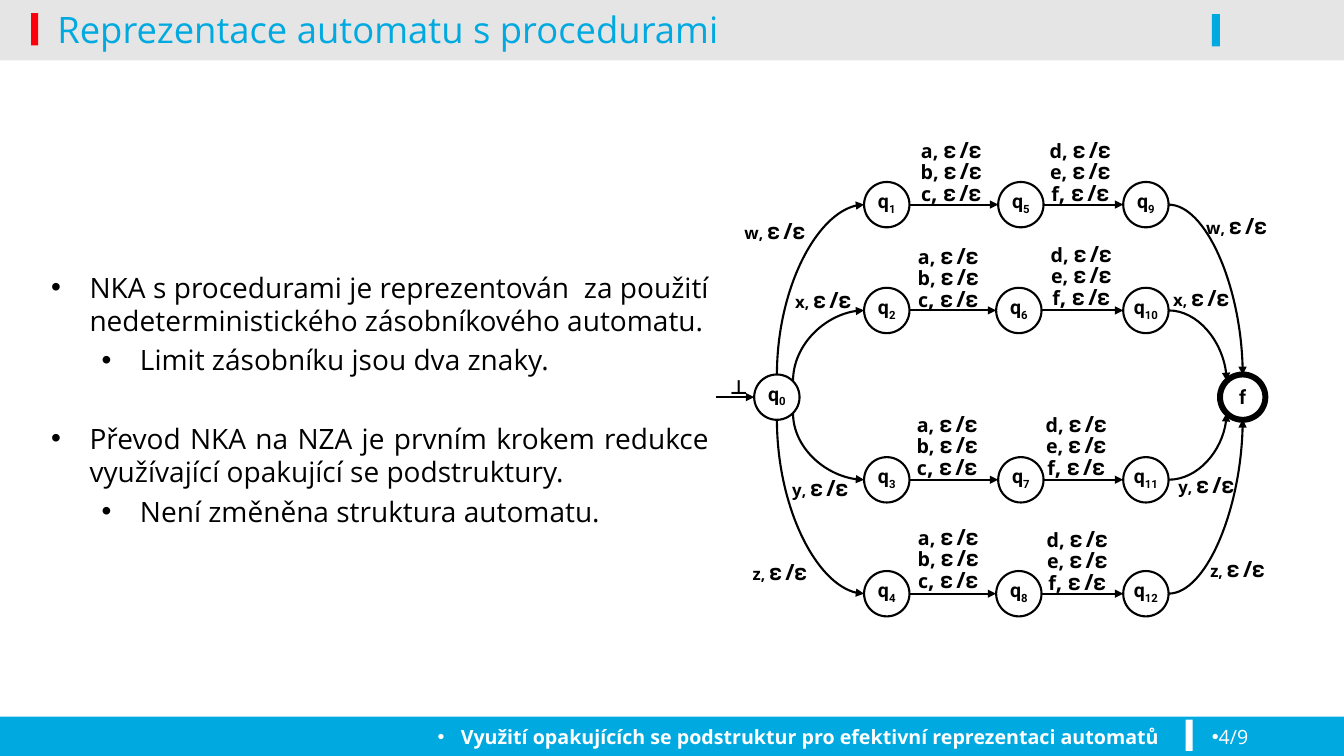
import pptx
import pptx.util
import pptx.dml.color
import pptx.enum.shapes
import pptx.enum.text
import pptx.oxml
import pptx.oxml.ns

W, H = 13.33, 7.5
BLUE, RED, WHITE, BLACK = "00A9E0", "FE000C", "FFFFFF", "000000"
SANS, ROBOTO = "Open Sans", "Roboto"
EPS = "\U0001D6C6"
ALIGN = pptx.enum.text.PP_ALIGN
ANCHOR = pptx.enum.text.MSO_ANCHOR
SHAPE = pptx.enum.shapes.MSO_SHAPE
LINE = pptx.enum.shapes.MSO_CONNECTOR

# Automaton grid: diameter, left edges of the columns, centre lines of the rows
D = 0.45
START, FIRST, LAST, FINAL = 7.48, 8.57, 11.14, 12.1
MIDDLE = [9.9, 9.88, 9.9, 9.88]
ROWS = [2.03, 3.08, 4.76, 5.89]
AXIS = 3.94
OUTER, INNER = 0.22, 0.16   # where arcs meet the end states, from their centre

# Label corners (left, top), row by row
ABC_AT = [(9.02, 1.35), (8.99, 2.4), (8.98, 4.07), (8.99, 5.19)]
DEF_AT = [(10.3, 1.35), (10.31, 2.38), (10.26, 4.07), (10.27, 5.21)]
CALL_AT = [(7.19, 2.16), (7.67, 2.84), (7.64, 4.71), (7.24, 5.54)]
RETURN_AT = [(11.77, 2.11), (11.42, 2.82), (11.47, 4.68), (11.78, 5.51)]


def inch(*values):
    return [pptx.util.Inches(v) for v in values]


def color(hex_text):
    return pptx.dml.color.RGBColor.from_string(hex_text)


def add_child(parent, tag, **attrs):
    el = pptx.oxml.ns.qn(tag)
    el = parent.makeelement(el, attrs)
    parent.append(el)
    return el


def add_run(p, text, size, font=SANS, fill=BLACK, bold=False, base=None):
    r = p.add_run()
    r.text = text
    r.font.size, r.font.name, r.font.bold = pptx.util.Pt(size), font, bold
    r.font.color.rgb = color(fill)
    if base:
        r.font._element.set("baseline", str(base * 1000))


def add_bullet(p, left, hang):
    pPr = p._p.get_or_add_pPr()
    pPr.set("marL", str(pptx.util.Inches(left)))
    pPr.set("indent", str(pptx.util.Inches(-hang)))
    add_child(pPr, "a:buFont", typeface="Arial")
    add_child(pPr, "a:buChar", char="•")


def add_text(s, left, top, width, height, anchor=ANCHOR.TOP):
    tf = s.shapes.add_textbox(*inch(left, top, width, height)).text_frame
    tf.word_wrap = True
    tf.vertical_anchor = anchor
    return tf


def next_paragraph(tf, align=ALIGN.LEFT):
    p = tf.paragraphs[0]
    if p.runs:
        p = tf.add_paragraph()
    p.alignment = align
    return p


def add_bar(s, left, top, width, height, fill, alpha=None):
    sp = s.shapes.add_shape(SHAPE.RECTANGLE, *inch(left, top, width, height))
    sp.shadow.inherit = False
    sp.line.fill.background()
    sp.fill.solid()
    sp.fill.fore_color.rgb = color(fill)
    if alpha:
        clr = sp.fill._xPr.find(".//" + pptx.oxml.ns.qn("a:srgbClr"))
        add_child(clr, "a:alpha", val=str(alpha * 1000))


def add_state(s, left, center_y, name, index="", weight=1.5):
    sp = s.shapes.add_shape(SHAPE.OVAL, *inch(left, center_y - D / 2, D, D))
    sp.shadow.inherit = False
    sp.fill.solid()
    sp.fill.fore_color.rgb = color(WHITE)
    sp.line.color.rgb = color(BLACK)
    sp.line.width = pptx.util.Pt(weight)
    tf = sp.text_frame
    tf.margin_left = tf.margin_right = 0
    tf.vertical_anchor = ANCHOR.BOTTOM
    p = next_paragraph(tf, ALIGN.CENTER)
    add_run(p, name, 14, ROBOTO, bold=True)
    if index:
        add_run(p, index, 14, ROBOTO, bold=True, base=-25)


def add_arrow(s, x1, y1, x2, y2, kind=LINE.STRAIGHT):
    c = s.shapes.add_connector(kind, *inch(x1, y1, x2, y2))
    c.line.color.rgb = color(BLACK)
    c.line.width = pptx.util.Pt(1.5)
    add_child(c.line._get_or_add_ln(), "a:tailEnd", type="triangle")
    add_child(c._element.spPr, "a:effectLst")
    return c


def add_arc(s, x1, y1, x2, y2, vertical_first=False):
    """Quarter curve; one that leaves vertically is a turned horizontal one."""
    turn = 0
    if vertical_first:
        turn = 1 if y2 < y1 else -1
        cx, cy = (x1 + x2) / 2, (y1 + y2) / 2
        half_w, half_h = abs(y2 - y1) / 2, turn * abs(x2 - x1) / 2
        x1, y1, x2, y2 = cx + half_w, cy + half_h, cx - half_w, cy - half_h
    c = add_arrow(s, x1, y1, x2, y2, LINE.CURVE)
    spPr = c._element.spPr
    spPr.find(pptx.oxml.ns.qn("a:prstGeom")).set("prst", "curvedConnector2")
    if turn:
        spPr.find(pptx.oxml.ns.qn("a:xfrm")).set("rot", str(turn * 90 % 360 * 60000))


def add_label(s, at, symbols, width, height, size, comma):
    tf = add_text(s, *at, width, height)
    for symbol in symbols:
        p = next_paragraph(tf, ALIGN.CENTER)
        p.line_spacing = 0.8
        last = symbol in "cf"
        parts = [(symbol, size), (", ", 16 if last else comma),
                 (EPS, 16), (" ", 9), ("/" + EPS, 16)]
        for text, pt in parts:
            add_run(p, text, pt, bold=True)


def add_frame(s):
    add_bar(s, 0, 7.11, W, 0.39, BLUE)
    add_bar(s, 0, 0.56, W, 0.04, BLACK, 10)
    add_bar(s, 0, 0, W, 0.56, BLACK, 10)
    add_bar(s, 0.31, 0.13, 0.07, 0.32, RED)
    add_bar(s, 11.76, 7.14, 0.07, 0.31, WHITE)
    add_bar(s, 12.02, 0.14, 0.08, 0.32, BLUE)

    p = next_paragraph(add_text(s, 0.16, 7.14, 11.44, 0.36), ALIGN.RIGHT)
    add_bullet(p, 0.23, 0.23)
    add_run(p, "Využití opakujících se podstruktur pro efektivní reprezentaci automatů",
            14, fill=WHITE, bold=True)
    p = next_paragraph(add_text(s, 11.92, 7.14, 1.21, 0.36))
    add_bullet(p, 0, 0)
    add_run(p, "4/9", 14, fill=WHITE)
    p = next_paragraph(add_text(s, 0.47, -0.11, 11.5, 0.79, ANCHOR.MIDDLE))
    add_run(p, "Reprezentace automatu s procedurami", 26, fill=BLUE)


def add_body(s):
    tf = add_text(s, 0.41, 2.63, 6.72, 2.73)
    items = [
        (0.38, 4, "NKA s procedurami je reprezentován  za použití "
                  "nedeterministického zásobníkového automatu."),
        (0.88, 4, "Limit zásobníku jsou dva znaky."),
        (0.38, 32, "Převod NKA na NZA je prvním krokem redukce "
                   "využívající opakující se podstruktury."),
        (0.88, 4, "Není změněna struktura automatu."),
    ]
    for left, before, text in items:
        p = next_paragraph(tf, ALIGN.JUSTIFY)
        p.space_before = pptx.util.Pt(before)
        add_bullet(p, left, 0.38)
        add_run(p, text, 20)


def add_automaton(s):
    # States
    add_state(s, START, AXIS, "q", "0")
    add_state(s, FINAL, AXIS, "f", weight=4.25)
    for i, y in enumerate(ROWS):
        for k, left in enumerate((FIRST, MIDDLE[i], LAST)):
            add_state(s, left, y, "q", str(1 + i + 4 * k))

    # Transitions
    add_arrow(s, 7.1, AXIS, START, AXIS)
    for i, y in enumerate(ROWS):
        add_arrow(s, FIRST + D, y, MIDDLE[i], y, LINE.CURVE)
        add_arrow(s, MIDDLE[i] + D, y, LAST, y, LINE.CURVE)
        side = -1 if y < AXIS else 1
        inner = i in (1, 2)
        meet = AXIS + side * (INNER if inner else OUTER)
        shift = INNER if inner else 0
        add_arc(s, START + D / 2 + shift, meet, FIRST, y, vertical_first=True)
        add_arc(s, LAST + D, y, FINAL + D / 2 - shift, meet)

    # Labels
    for i, call in enumerate("wxyz"):
        add_label(s, ABC_AT[i], "abc", 0.83, 1.07, 14, 14)
        add_label(s, DEF_AT[i], "def", 0.83, 1.07, 14, 14)
        add_label(s, CALL_AT[i], call, 0.99, 0.32, 12, 11)
        add_label(s, RETURN_AT[i], call, 0.99, 0.32, 12, 11)
    p = next_paragraph(add_text(s, 7.14, 3.67, 0.32, 0.34))
    add_run(p, "⊥", 14, ROBOTO, bold=True)


def main():
    prs = pptx.Presentation()
    prs.slide_width, prs.slide_height = inch(W, H)
    s = prs.slides.add_slide(prs.slide_layouts[6])
    add_frame(s)
    add_body(s)
    add_automaton(s)
    prs.save("out.pptx")


main()
